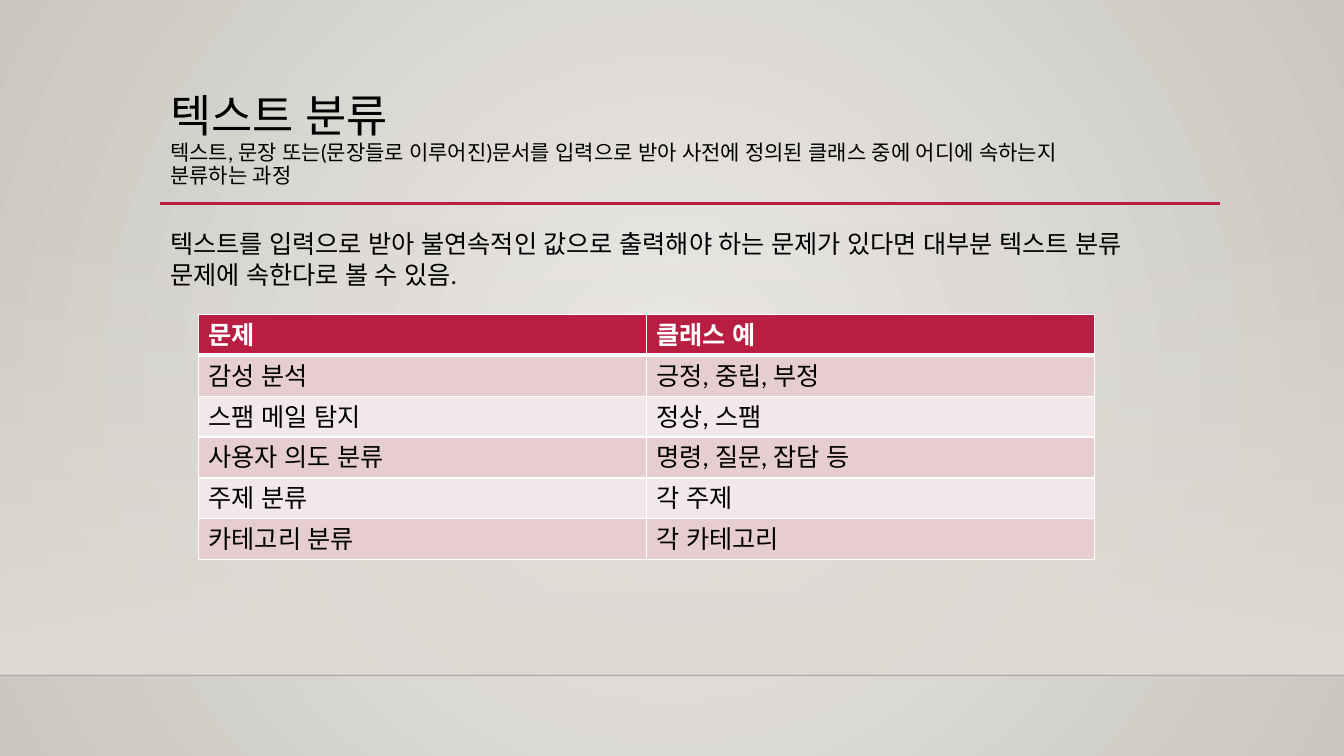
import copy

import pptx
import pptx.dml.color
import pptx.enum.shapes
import pptx.enum.text
import pptx.oxml
import pptx.oxml.ns
import pptx.util

Pt = pptx.util.Pt
RGBColor = pptx.dml.color.RGBColor
qn = pptx.oxml.ns.qn

BLACK = RGBColor(0x00, 0x00, 0x00)
WHITE = RGBColor(0xFF, 0xFF, 0xFF)
CRIMSON = RGBColor(0xB7, 0x1E, 0x42)
ROSE = RGBColor(0xE6, 0xCD, 0xCF)
PALE_ROSE = RGBColor(0xF3, 0xE8, 0xE9)
BACKDROP_CENTER = RGBColor(0xEC, 0xEA, 0xE7)
BACKDROP_EDGE = RGBColor(0xCA, 0xC7, 0xC1)
WALL = RGBColor(0xDF, 0xDB, 0xD5)

FONT = "Lato"
NAMESPACE = 'xmlns:a="http://schemas.openxmlformats.org/drawingml/2006/main"'
LINEAR_DOWN = '<a:lin ang="5400000" scaled="0"/>'
RADIAL = ('<a:path path="circle"><a:fillToRect l="50000" t="50000" '
          'r="50000" b="50000"/></a:path>')

LEFT = 114.5
FLOOR_TOP = 482.4

TITLE = "텍스트 분류"
SUBTITLE = ["텍스트, 문장 또는(문장들로 이루어진)문서를 입력으로 받아 사전에 정의된 클래스 중에 어디에 속하는지",
            "분류하는 과정"]
BODY = ["텍스트를 입력으로 받아 불연속적인 값으로 출력해야 하는 문제가 있다면 대부분 텍스트 분류",
        "문제에 속한다로 볼 수 있음."]
PROBLEMS = [
    ("문제", "클래스 예"),
    ("감성 분석", "긍정, 중립, 부정"),
    ("스팸 메일 탐지", "정상, 스팸"),
    ("사용자 의도 분류", "명령, 질문, 잡담 등"),
    ("주제 분류", "각 주제"),
    ("카테고리 분류", "각 카테고리"),
]


def place(shape, left, top, width, height):
    box = {"left": left, "top": top, "width": width, "height": height}
    for name, value in box.items():
        setattr(shape, name, Pt(value))


def add_run(paragraph, text, size, color=BLACK, bold=False):
    run = paragraph.add_run()
    run.text = text
    font_format = {"name": FONT, "size": Pt(size), "bold": bold}
    for name, value in font_format.items():
        setattr(run.font, name, value)
    run.font.color.rgb = color
    # Hangul takes its line height from the East Asian font
    latin = run.font._element.find(qn("a:latin"))
    latin.addnext(pptx.oxml.parse_xml(f'<a:ea {NAMESPACE} typeface="{FONT}"/>'))
    return run


def add_break(paragraph, run):
    paragraph.add_line_break()
    paragraph._p.findall(qn("a:br"))[-1].append(copy.deepcopy(run.font._element))


def set_gradient(fill, properties, stops, direction):
    """Fill with (position, color, opacity) stops, in percent."""
    fill.gradient()
    stop_xml = "".join(
        f'<a:gs pos="{position * 1000}"><a:srgbClr val="{color}">'
        f'<a:alpha val="{opacity * 1000}"/></a:srgbClr></a:gs>'
        for position, color, opacity in stops)
    gradient = pptx.oxml.parse_xml(
        f'<a:gradFill {NAMESPACE} rotWithShape="1">'
        f'<a:gsLst>{stop_xml}</a:gsLst>{direction}</a:gradFill>')
    properties.replace(properties.find(qn("a:gradFill")), gradient)


def add_rule(slide, left, right, top, color, width, opacity=100):
    rule = slide.shapes.add_connector(
        pptx.enum.shapes.MSO_CONNECTOR.STRAIGHT,
        Pt(left), Pt(top), Pt(right), Pt(top))
    rule.line.color.rgb = color
    rule.line.width = Pt(width)
    properties = rule._element.spPr
    if opacity < 100:
        properties.find(".//" + qn("a:srgbClr")).append(pptx.oxml.parse_xml(
            f'<a:alpha {NAMESPACE} val="{opacity * 1000}"/>'))
    properties.append(pptx.oxml.parse_xml(f"<a:effectLst {NAMESPACE}/>"))


def add_backdrop(slide):
    fill = slide.background.fill
    properties = slide._element.cSld.bg.bgPr
    set_gradient(fill, properties,
                 [(0, BACKDROP_CENTER, 100), (100, BACKDROP_EDGE, 100)], RADIAL)
    wall = slide.shapes.add_shape(
        pptx.enum.shapes.MSO_SHAPE.RECTANGLE, 0, 0, 0, 0)
    place(wall, 0, 159, 960, FLOOR_TOP - 159)
    wall.shadow.inherit = False
    wall.line.fill.background()
    set_gradient(wall.fill, wall._element.spPr,
                 [(0, WALL, 0), (100, WALL, 100)], LINEAR_DOWN)


def add_title(slide):
    title = slide.shapes.title
    place(title, LEFT, 63.4, 756, 82.8)
    frame_format = {"vertical_anchor": pptx.enum.text.MSO_ANCHOR.TOP,
                    "auto_size": pptx.enum.text.MSO_AUTO_SIZE.NONE,
                    "word_wrap": True}
    for name, value in frame_format.items():
        setattr(title.text_frame, name, value)
    paragraph = title.text_frame.paragraphs[0]
    paragraph.alignment = pptx.enum.text.PP_ALIGN.LEFT
    paragraph.line_spacing = 0.9
    run = add_run(paragraph, TITLE, 32)
    for line in SUBTITLE:
        add_break(paragraph, run)
        run = add_run(paragraph, line, 15)


def add_body(slide):
    body = slide.shapes.add_textbox(Pt(LEFT), Pt(159.8), Pt(761), Pt(51))
    frame = body.text_frame
    frame.word_wrap = True
    for index, line in enumerate(BODY):
        paragraph = frame.add_paragraph() if index else frame.paragraphs[0]
        add_run(paragraph, line, 18)


def set_borders(cell, widths):
    properties = cell._tc.get_or_add_tcPr()
    for side, width in widths.items():
        properties.append(pptx.oxml.parse_xml(
            f'<a:ln{side} {NAMESPACE} w="{Pt(width)}"><a:solidFill>'
            f'<a:srgbClr val="{WHITE}"/></a:solidFill></a:ln{side}>'))


def add_problem_table(slide):
    row_height = 29.2
    frame = slide.shapes.add_table(
        len(PROBLEMS), 2, Pt(141.8), Pt(224.6),
        Pt(640), Pt(row_height * len(PROBLEMS)))
    for row_index, (row, texts) in enumerate(zip(frame.table.rows, PROBLEMS)):
        row.height = Pt(row_height)
        header = row_index == 0
        fill = CRIMSON if header else (ROSE if row_index % 2 else PALE_ROSE)
        borders = {"L": 1, "R": 1, "T": 3 if row_index == 1 else 1,
                   "B": 3 if header else 1}
        for cell, text in zip(row.cells, texts):
            set_borders(cell, borders)
            cell.fill.solid()
            cell.fill.fore_color.rgb = fill
            add_run(cell.text_frame.paragraphs[0], text, 18,
                    WHITE if header else BLACK, header)


def main():
    presentation = pptx.Presentation()
    presentation.slide_width = Pt(960)
    presentation.slide_height = Pt(540)
    slide = presentation.slides.add_slide(presentation.slide_layouts[5])

    # Backdrop, floor edge and title underline
    add_backdrop(slide)
    add_rule(slide, 0, 960, FLOOR_TOP, BLACK, 1, opacity=20)
    add_rule(slide, LEFT, 871.2, 145.4, CRIMSON, 2.5)

    # Content
    add_title(slide)
    add_body(slide)
    add_problem_table(slide)

    presentation.save("out.pptx")


main()
